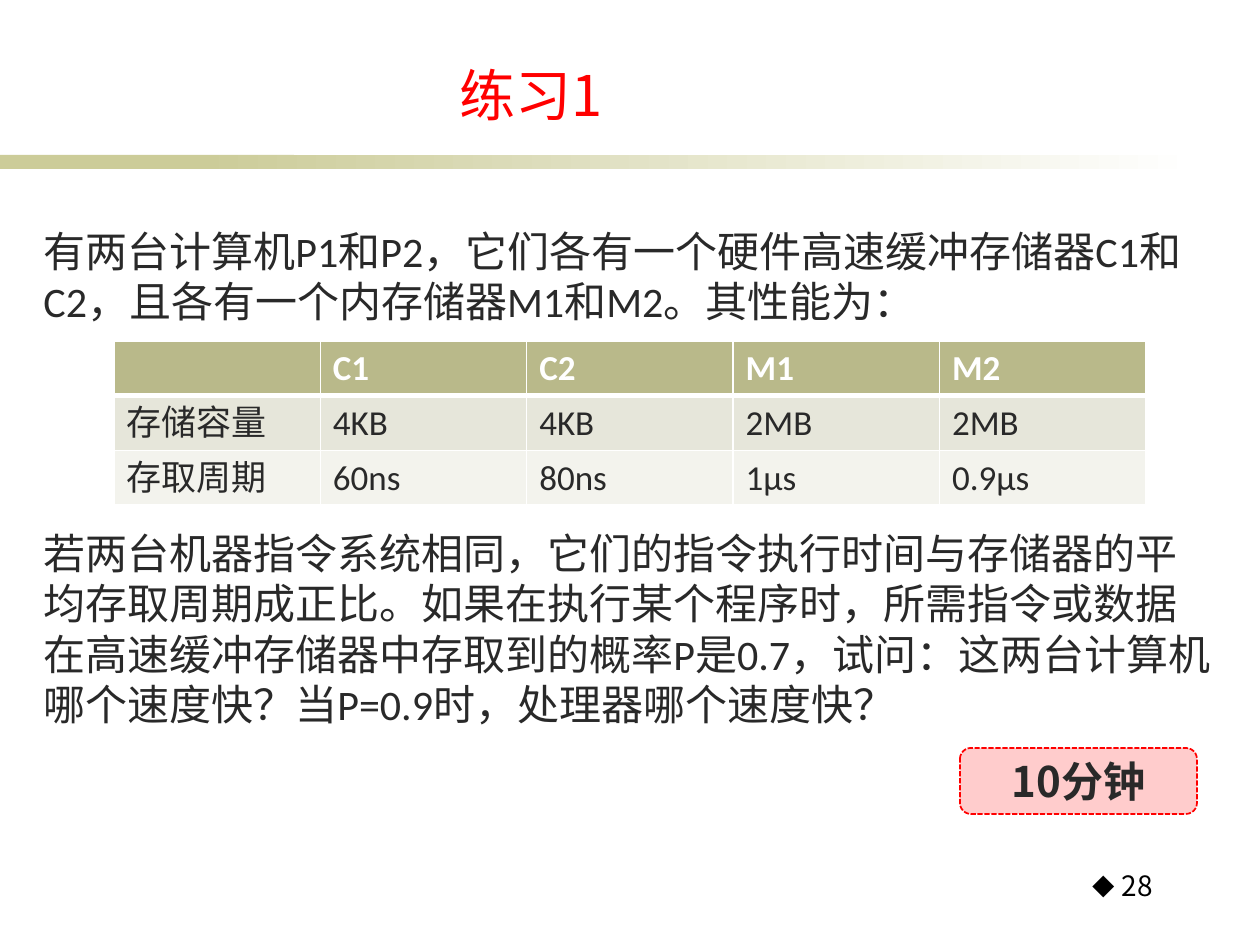
from lxml.etree import SubElement
from pptx import Presentation
from pptx.dml.color import RGBColor
from pptx.enum.dml import MSO_LINE
from pptx.enum.shapes import MSO_SHAPE
from pptx.enum.text import MSO_ANCHOR, MSO_AUTO_SIZE, PP_ALIGN
from pptx.oxml.ns import qn
from pptx.util import Emu, Pt

PIXELS_PER_INCH = 126
LATIN_FONT = "Calibri"
CHINESE_FONT = "Noto Sans CJK SC"

WHITE = RGBColor(0xFF, 0xFF, 0xFF)
BLACK = RGBColor(0x00, 0x00, 0x00)
INK = RGBColor(0x29, 0x29, 0x29)
RED = RGBColor(0xFF, 0x00, 0x00)
PINK = RGBColor(0xFF, 0xCC, 0xCC)
OLIVE = RGBColor(0xCC, 0xCC, 0x99)
HEADER_FILL = RGBColor(0xB9, 0xB9, 0x8A)
ROW_FILLS = (RGBColor(0xE6, 0xE6, 0xDA), RGBColor(0xF3, 0xF3, 0xED))

MEMORY_ROWS = (
    ("", "C1", "C2", "M1", "M2"),
    ("存储容量", "4KB", "4KB", "2MB", "2MB"),
    ("存取周期", "60ns", "80ns", "1μs", "0.9μs"),
)
QUESTION = (
    "有两台计算机P1和P2，它们各有一个硬件高速缓冲存储器C1和C2，"
    "且各有一个内存储器M1和M2。其性能为：",
    "若两台机器指令系统相同，它们的指令执行时间与存储器的平均存取周期成正比。"
    "如果在执行某个程序时，所需指令或数据在高速缓冲存储器中存取到的概率P是0.7，"
    "试问：这两台计算机哪个速度快？当P=0.9时，处理器哪个速度快？",
)
TABLE_GAP = Pt(115)


def px(length):
    """Turn pixels into EMU."""
    return Emu(round(length * 914400 / PIXELS_PER_INCH))


def box_emu(box):
    """Turn a left, top, width, height box into EMU."""
    return [px(length) for length in box]


def add_run(paragraph, text, size, color, font=LATIN_FONT, bold=False):
    """Add one formatted run to a paragraph."""
    run = paragraph.add_run()
    run.text = text
    run.font.size = Pt(size)
    run.font.name = font
    run.font.bold = bold
    run.font.color.rgb = color
    SubElement(run.font._element, qn("a:ea"), typeface=font)


def add_plain_shape(slide, kind, box):
    """Add a preset shape without shadow or line."""
    shape = slide.shapes.add_shape(kind, *box_emu(box))
    shape.shadow.inherit = False
    shape.line.fill.background()
    return shape


def add_rule(slide, box):
    """Draw the band below the title, which fades out to the right."""
    left, top, width, height = box
    solid_box = (left, top, 294, height)
    fade_box = (left + 199, top, width - 199, height)
    solid = add_plain_shape(slide, MSO_SHAPE.RECTANGLE, solid_box)
    solid.fill.solid()
    solid.fill.fore_color.rgb = OLIVE
    fade = add_plain_shape(slide, MSO_SHAPE.RECTANGLE, fade_box)
    fade.fill.gradient()
    fade.fill.gradient_angle = 0
    for stop, color, position in zip(fade.fill.gradient_stops, (OLIVE, WHITE), (0, 1)):
        stop.color.rgb = color
        stop.position = position


def place_title(slide, box):
    """Move and format the title placeholder."""
    title = slide.shapes.title
    title.left, title.top, title.width, title.height = box_emu(box)
    frame = title.text_frame
    frame.auto_size = MSO_AUTO_SIZE.NONE
    frame.vertical_anchor = MSO_ANCHOR.BOTTOM
    paragraph = frame.paragraphs[0]
    paragraph.alignment = PP_ALIGN.CENTER
    add_run(paragraph, "练习1", 32, RED, CHINESE_FONT)


def add_page_number(slide, box):
    """Add the page number with its diamond bullet."""
    frame = slide.shapes.add_textbox(*box_emu(box)).text_frame
    frame.word_wrap = True
    paragraph = frame.paragraphs[0]
    paragraph.alignment = PP_ALIGN.RIGHT
    paragraph.line_spacing = 0.9
    paragraph.space_before = Pt(5)
    add_run(paragraph, "28", 16, BLACK, CHINESE_FONT)
    properties = paragraph._p.get_or_add_pPr()
    properties.set("marL", str(px(29)))
    properties.set("indent", str(px(-29)))
    bullet_color = SubElement(properties, qn("a:buClr"))
    SubElement(bullet_color, qn("a:srgbClr"), val=str(BLACK))
    SubElement(properties, qn("a:buSzPct"), val="80000")
    SubElement(properties, qn("a:buFont"), typeface=CHINESE_FONT)
    SubElement(properties, qn("a:buChar"), char="◆")


def add_question(slide, box):
    """Add the question text, leaving room for the table."""
    frame = slide.shapes.add_textbox(*box_emu(box)).text_frame
    frame.word_wrap = True
    opening, task = frame.paragraphs[0], frame.add_paragraph()
    task.space_before = TABLE_GAP
    for paragraph, text in zip((opening, task), QUESTION):
        add_run(paragraph, text, 24, INK)


def set_borders(cell, bottom_width):
    """Give a cell white borders."""
    properties = cell._tc.get_or_add_tcPr()
    for side, width in (("L", 1), ("R", 1), ("T", 1), ("B", bottom_width)):
        line = SubElement(properties, qn(f"a:ln{side}"), w=str(Pt(width)))
        fill = SubElement(line, qn("a:solidFill"))
        SubElement(fill, qn("a:srgbClr"), val=str(WHITE))


def add_memory_table(slide, box):
    """Add the table of memory sizes and access times."""
    row_count, column_count = len(MEMORY_ROWS), len(MEMORY_ROWS[0])
    table = slide.shapes.add_table(row_count, column_count, *box_emu(box)).table
    for row_index, values in enumerate(MEMORY_ROWS):
        is_header = row_index == 0
        row_fill = HEADER_FILL if is_header else ROW_FILLS[row_index - 1]
        for column_index, value in enumerate(values):
            cell = table.cell(row_index, column_index)
            set_borders(cell, 3 if is_header else 1)
            cell.fill.solid()
            cell.fill.fore_color.rgb = row_fill
            if value:
                color = WHITE if is_header else INK
                add_run(cell.text_frame.paragraphs[0], value, 20, color, bold=is_header)


def add_time_badge(slide, box):
    """Add the dashed badge with the time limit."""
    badge = add_plain_shape(slide, MSO_SHAPE.ROUNDED_RECTANGLE, box)
    badge.fill.solid()
    badge.fill.fore_color.rgb = PINK
    badge.line.color.rgb = RED
    badge.line.width = Pt(1)
    badge.line.dash_style = MSO_LINE.SQUARE_DOT
    frame = badge.text_frame
    frame.word_wrap = False
    frame.vertical_anchor = MSO_ANCHOR.MIDDLE
    paragraph = frame.paragraphs[0]
    paragraph.alignment = PP_ALIGN.CENTER
    add_run(paragraph, "10分钟", 24, INK, CHINESE_FONT, bold=True)


def main():
    """Build the exercise slide."""
    presentation = Presentation()
    presentation.slide_width, presentation.slide_height = px(1260), px(945)
    slide = presentation.slides.add_slide(presentation.slide_layouts[5])
    add_rule(slide, (0, 155, 1197, 14))
    place_title(slide, (144, 55, 774, 79))
    add_page_number(slide, (1037, 866, 128, 63))
    add_question(slide, (31, 219, 1198, 590))
    add_time_badge(slide, (960, 748, 237, 66))
    add_memory_table(slide, (114, 341, 1032, 162))
    presentation.save("out.pptx")


if __name__ == "__main__":
    main()
